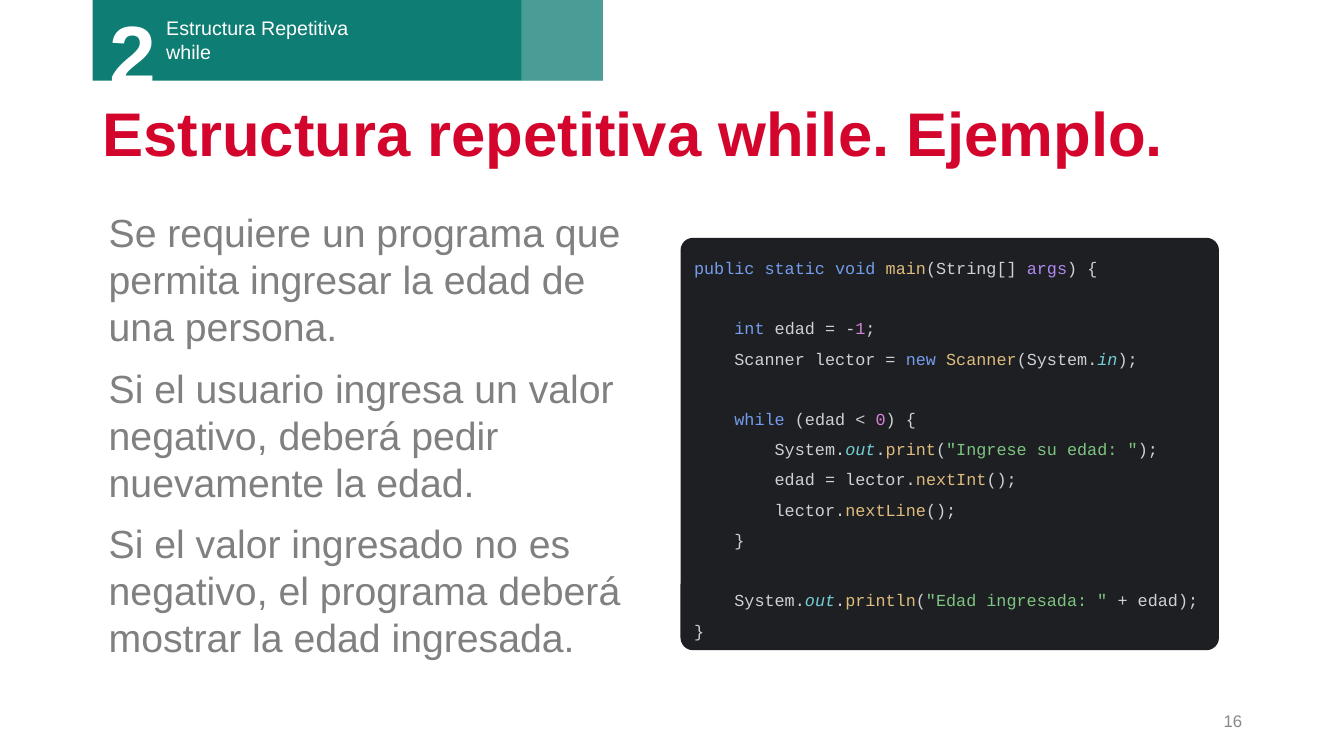
import pptx
import pptx.util
import pptx.dml.color
import pptx.enum.shapes
import pptx.enum.text
import pptx.oxml.ns
from lxml import etree

Inches = pptx.util.Inches
ALIGN = pptx.enum.text.PP_ALIGN
ANCHOR = pptx.enum.text.MSO_ANCHOR
SHAPE = pptx.enum.shapes.MSO_SHAPE

theme = {
    "font": "Arial", "code_font": "Courier New",
    "teal": "0E7D73", "white": "FFFFFF", "red": "D3052C",
    "body": "808080", "number": "888888", "panel": "1E1F22",
    "section_size": 14, "digit_size": 60, "title_size": 44,
    "body_size": 28, "number_size": 12, "code_size": 12,
    "keyword": "749DED", "call": "DEBC7E", "plain": "CED0D6",
    "argument": "B189F5", "value": "D981DE", "member": "72CFD6", "string": "7EC482",
}

deck = pptx.Presentation()
deck.slide_width = Inches(13.33)
deck.slide_height = Inches(7.5)
page = deck.slides.add_slide(deck.slide_layouts[6])


def add_panel(kind, left, top, width, height, color):
    panel = page.shapes.add_shape(kind, Inches(left), Inches(top), Inches(width), Inches(height))
    panel.shadow.inherit = False
    panel.fill.solid()
    panel.fill.fore_color.rgb = pptx.dml.color.RGBColor.from_string(theme[color])
    panel.line.fill.background()
    return panel


def add_text(left, top, width, height, texts, size, color, bold=False, anchor=ANCHOR.TOP):
    box = page.shapes.add_textbox(Inches(left), Inches(top), Inches(width), Inches(height))
    frame = box.text_frame
    frame.word_wrap = True
    frame.vertical_anchor = anchor
    frame.text = "\n".join(texts)
    for para in frame.paragraphs:
        para.font.name = theme["font"]
        para.font.size = pptx.util.Pt(theme[size])
        para.font.bold = bold
        para.font.color.rgb = pptx.dml.color.RGBColor.from_string(theme[color])
    return frame.paragraphs


add_panel(SHAPE.RECTANGLE, 0.92, 0, 5.06, 0.8, "teal")
add_text(1.55, 0.11, 2.75, 0.57, ["Estructura Repetitiva\vwhile"], "section_size", "white")
add_text(0.99, -0.03, 1.12, 1.11, ["2"], "digit_size", "white", bold=True)
tint = add_panel(SHAPE.RECTANGLE, 5.17, 0, 0.81, 0.8, "white")
tint_color = tint.fill._xPr.find(".//" + pptx.oxml.ns.qn("a:srgbClr"))
etree.SubElement(tint_color, pptx.oxml.ns.qn("a:alpha"), val="25000")

title = add_text(0.92, 0.93, 11.5, 0.86, ["Estructura repetitiva while. Ejemplo."],
                 "title_size", "red", bold=True, anchor=ANCHOR.MIDDLE)
title[0].line_spacing = 0.9
number = add_text(9.42, 6.95, 3, 0.4, ["16"], "number_size", "number", anchor=ANCHOR.MIDDLE)
number[0].alignment = ALIGN.RIGHT

statement = add_text(0.92, 2.02, 5.36, 4.78, [
    "Se requiere un programa que permita ingresar la edad de una persona.",
    "Si el usuario ingresa un valor negativo, deberá pedir nuevamente la edad.",
    "Si el valor ingresado no es negativo, el programa deberá mostrar la edad ingresada.",
], "body_size", "body")
for index, para in enumerate(statement):
    para._p.get_or_add_pPr().set("marL", str(Inches(0.06)))
    para.space_before = pptx.util.Pt(10 if index else 0)

code_lines = [
    [("public static void ", "keyword"), ("main", "call"), ("(String[] ", "plain"),
     ("args", "argument"), (") {", "plain")],
    [],
    [("    int ", "keyword"), ("edad = -", "plain"), ("1", "value"), (";", "plain")],
    [("    Scanner lector = ", "plain"), ("new ", "keyword"), ("Scanner", "call"),
     ("(System.", "plain"), ("in", "member"), (");", "plain")],
    [],
    [("    while ", "keyword"), ("(edad < ", "plain"), ("0", "value"), (") {", "plain")],
    [("        System.", "plain"), ("out", "member"), (".", "plain"), ("print", "call"),
     ("(", "plain"), ('"Ingrese su edad: "', "string"), (");", "plain")],
    [("        edad = lector.", "plain"), ("nextInt", "call"), ("();", "plain")],
    [("        lector.", "plain"), ("nextLine", "call"), ("();", "plain")],
    [("    }", "plain")],
    [],
    [("    System.", "plain"), ("out", "member"), (".", "plain"), ("println", "call"),
     ("(", "plain"), ('"Edad ingresada: " ', "string"), ("+ edad);", "plain")],
    [("}", "plain")],
]
editor = add_panel(SHAPE.ROUNDED_RECTANGLE, 6.75, 2.36, 5.34, 4.09, "panel")
editor.adjustments[0] = 0.03
editor.text_frame.word_wrap = False
editor.text_frame.vertical_anchor = ANCHOR.MIDDLE
para = editor.text_frame.paragraphs[0]
para.alignment = ALIGN.LEFT
para.line_spacing = 1.5
para.font.name = theme["code_font"]
para.font.size = pptx.util.Pt(theme["code_size"])
for index, line in enumerate(code_lines):
    if index:
        para.add_line_break()
    for text, role in line:
        span = para.add_run()
        span.text = text
        span.font.color.rgb = pptx.dml.color.RGBColor.from_string(theme[role])
        if role == "member":
            span.font.italic = True

deck.save("out.pptx")
